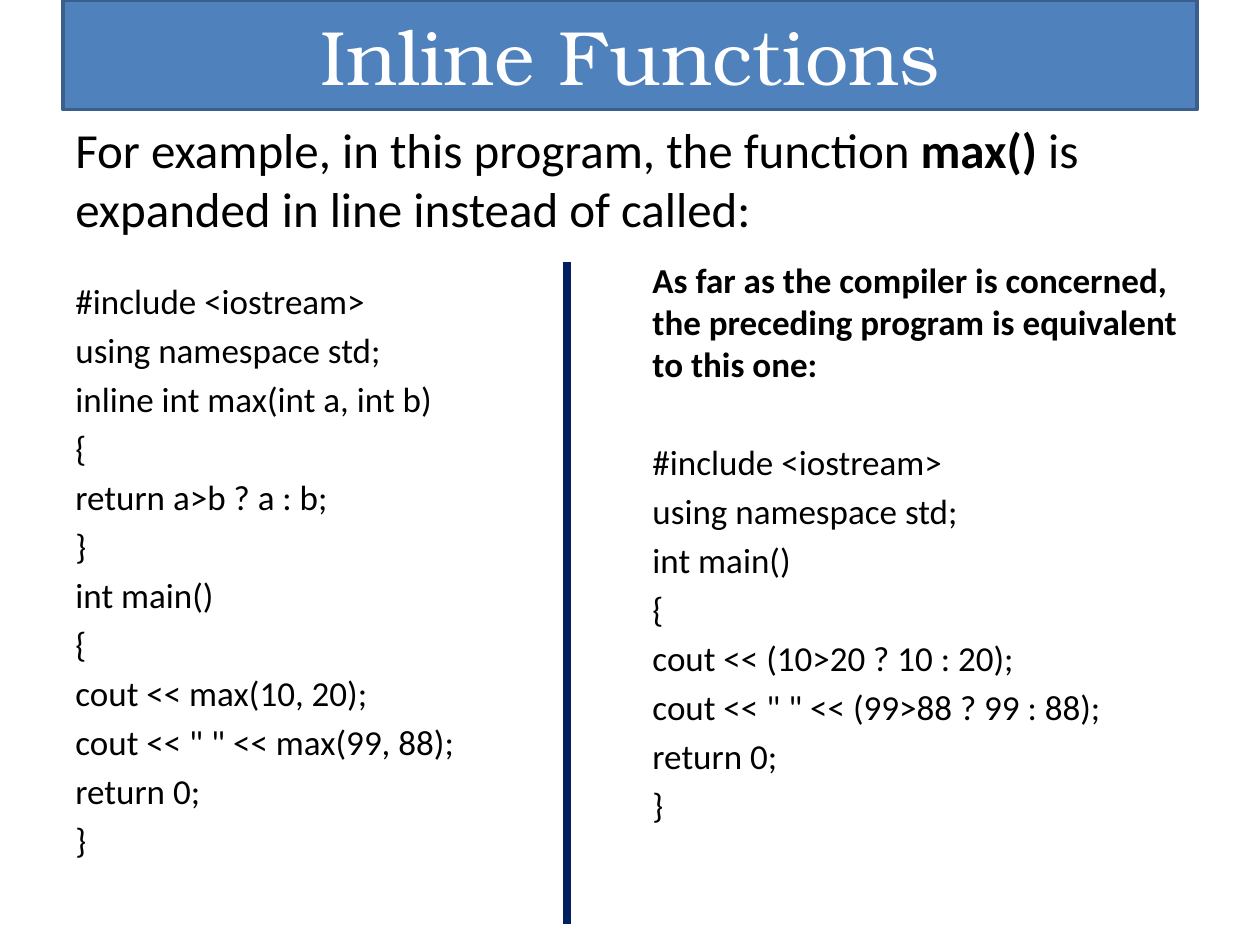
import pptx
import pptx.dml.color
import pptx.enum.shapes
import pptx.enum.text
import pptx.oxml.ns
import pptx.util
from lxml import etree

Inches, Pt = pptx.util.Inches, pptx.util.Pt
ANCHOR = pptx.enum.text.MSO_ANCHOR

HEADING = "Inline Functions"
INTRO = [
    ("For example, in this program, the function ", False),
    ("max() ", True),
    ("is expanded in line instead of called:", False),
]
INLINE_PROGRAM = [
    "#include <iostream>",
    "using namespace std;",
    "inline int max(int a, int b)",
    "{",
    "return a>b ? a : b;",
    "}",
    "int main()",
    "{",
    "cout << max(10, 20);",
    'cout << " " << max(99, 88);',
    "return 0;",
    "}",
]
EQUIVALENCE = ("As far as the compiler is concerned, the preceding program "
               "is equivalent to this one:")
EXPANDED_PROGRAM = [
    "#include <iostream>",
    "using namespace std;",
    "int main()",
    "{",
    "cout << (10>20 ? 10 : 20);",
    'cout << " " << (99>88 ? 99 : 88);',
    "return 0;",
    "}",
]

MARGIN, CONTENT_WIDTH = 0.5, 9
COLUMN_WIDTH, COLUMN_BOTTOM = 4.42, 7.08
CODE_GAP, SECTION_GAP = 4, 32


def rgb(hex_code):
    return pptx.dml.color.RGBColor.from_string(hex_code)


def style(run, size, color="000000", font="Calibri", bold=False):
    run.font.size = Pt(size)
    run.font.name = font
    run.font.bold = bold
    run.font.color.rgb = rgb(color)


def add_text_frame(slide, left, top, width, height, anchor=ANCHOR.TOP):
    box = slide.shapes.add_textbox(
        Inches(left), Inches(top), Inches(width), Inches(height))
    box.text_frame.word_wrap = True
    box.text_frame.vertical_anchor = anchor
    return box.text_frame


def add_column(slide, left, top, code, lead=None):
    """Add a program listing, below a bold lead paragraph if there is one."""
    frame = add_text_frame(slide, left, top, COLUMN_WIDTH, COLUMN_BOTTOM - top)
    lines = [lead] + code if lead else code
    frame.text = "\n".join(lines)
    for number, paragraph in enumerate(frame.paragraphs):
        after_lead = lead and number == 1
        paragraph.space_before = Pt(SECTION_GAP if after_lead else CODE_GAP)
        style(paragraph.runs[0], 20, bold=bool(lead) and number == 0)


def add_heading(slide):
    band = slide.shapes.add_shape(
        pptx.enum.shapes.MSO_SHAPE.RECTANGLE,
        Inches(MARGIN), Inches(0), Inches(CONTENT_WIDTH), Inches(0.87))
    band.shadow.inherit = False
    band.fill.solid()
    band.fill.fore_color.rgb = rgb("4F81BD")
    band.line.color.rgb = rgb("3A5F8C")
    band.line.width = Pt(2)
    frame = band.text_frame
    frame.text = HEADING
    frame.vertical_anchor = ANCHOR.MIDDLE
    frame.paragraphs[0].alignment = pptx.enum.text.PP_ALIGN.CENTER
    style(frame.paragraphs[0].runs[0], 44, "FFFFFF", "TeX Gyre Bonum")


def add_intro(slide):
    frame = add_text_frame(slide, MARGIN, 1, CONTENT_WIDTH, 0.83, ANCHOR.MIDDLE)
    for words, bold in INTRO:
        run = frame.paragraphs[0].add_run()
        run.text = words
        style(run, 28, bold=bold)


def add_divider(slide):
    divider = slide.shapes.add_connector(
        pptx.enum.shapes.MSO_CONNECTOR.STRAIGHT,
        Inches(4.5), Inches(2.08), Inches(4.5), Inches(7.33))
    divider.line.color.rgb = rgb("002060")
    divider.line.width = Pt(4.5)
    etree.SubElement(divider._element.spPr, pptx.oxml.ns.qn("a:effectLst"))


def main():
    deck = pptx.Presentation()
    deck.slide_width, deck.slide_height = Inches(10), Inches(7.5)
    slide = deck.slides.add_slide(deck.slide_layouts[6])
    add_intro(slide)
    add_column(slide, MARGIN, 2.17, INLINE_PROGRAM)
    add_column(slide, MARGIN + CONTENT_WIDTH - COLUMN_WIDTH, 2,
               EXPANDED_PROGRAM, EQUIVALENCE)
    add_heading(slide)
    add_divider(slide)
    deck.save("out.pptx")


if __name__ == "__main__":
    main()
